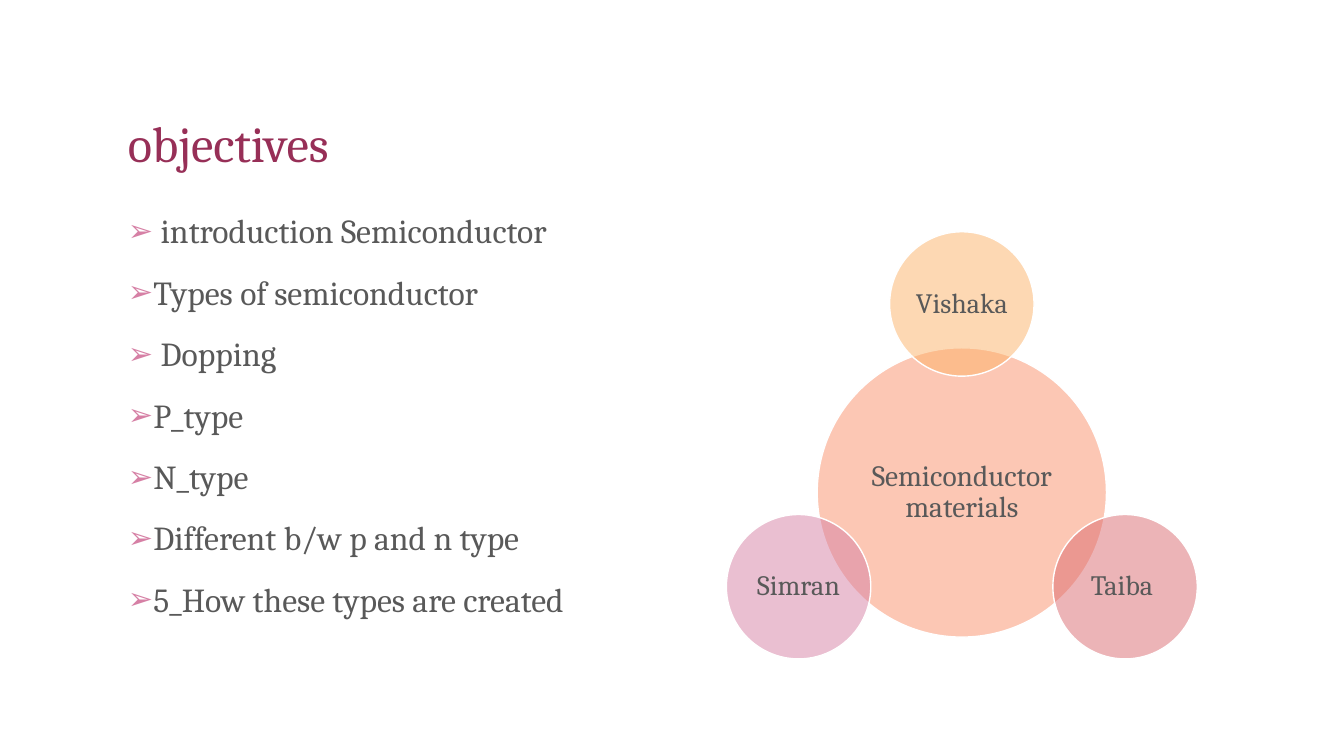
import math

from lxml import etree
from pptx import Presentation
from pptx.dml.color import RGBColor
from pptx.enum import shapes, text
from pptx.oxml import ns
from pptx.util import Cm, Pt

FONT = "Cambria"
GREY, WHITE, PLUM, PINK = "595959", "FFFFFF", "972F57", "D680A5"

HEADING = "objectives"
OBJECTIVES = [
    " introduction Semiconductor",
    "Types of semiconductor",
    " Dopping",
    "P_type",
    "N_type",
    "Different b/w p and n type",
    "5_How these types are created",
]
TOPIC = ("Semiconductor materials", "FA906A")
MEMBERS = [("Vishaka", "FCB268"), ("Taiba ", "DB6B70"), ("Simran", PINK)]

CENTER_X, CENTER_Y = 24.24, 12.41
TOPIC_SIZE, MEMBER_SIZE, ORBIT = 7.29, 3.64, 4.75


def rgb(value):
    return RGBColor.from_string(value)


def write(paragraph, words, size, color=GREY, align=text.PP_ALIGN.LEFT, before=0):
    paragraph.alignment = align
    paragraph.line_spacing = 0.9
    paragraph.space_before = Pt(before)
    run = paragraph.add_run()
    run.text = words
    run.font.name = FONT
    run.font.size = Pt(size)
    run.font.color.rgb = rgb(color)


def add_bullet(paragraph):
    props = paragraph._p.get_or_add_pPr()
    props.set("marL", str(Cm(0.64)))
    props.set("indent", str(-Cm(0.64)))
    tint = etree.SubElement(props, ns.qn("a:buClr"))
    etree.SubElement(tint, ns.qn("a:srgbClr"), val=PINK)
    etree.SubElement(props, ns.qn("a:buSzPct"), val="90000")
    etree.SubElement(props, ns.qn("a:buFont"), typeface="Arial")
    etree.SubElement(props, ns.qn("a:buChar"), char="➢")


def place(holder, left, top, width, height, anchor):
    holder.left, holder.top = Cm(left), Cm(top)
    holder.width, holder.height = Cm(width), Cm(height)
    frame = holder.text_frame
    frame.auto_size = text.MSO_AUTO_SIZE.NONE
    frame.word_wrap = True
    frame.vertical_anchor = anchor
    return frame


def add_circle(slide, x, y, diameter, label, color, size):
    circle = slide.shapes.add_shape(
        shapes.MSO_SHAPE.OVAL, Cm(x - diameter / 2), Cm(y - diameter / 2),
        Cm(diameter), Cm(diameter))
    circle.shadow.inherit = False
    circle.fill.solid()
    circle.fill.fore_color.rgb = rgb(color)
    tint = circle._element.spPr.find(ns.qn("a:solidFill"))[0]
    etree.SubElement(tint, ns.qn("a:alpha"), val="50000")
    circle.line.color.rgb = rgb(WHITE)
    circle.line.width = Pt(1)
    frame = circle.text_frame
    frame.word_wrap = True
    frame.vertical_anchor = text.MSO_ANCHOR.MIDDLE
    frame.margin_left = frame.margin_right = Cm(0.07)
    frame.margin_top = frame.margin_bottom = Cm(0.07)
    write(frame.paragraphs[0], label, size, align=text.PP_ALIGN.CENTER)


def main():
    deck = Presentation()
    deck.slide_width, deck.slide_height = Cm(33.87), Cm(19.05)
    slide = deck.slides.add_slide(deck.slide_layouts[1])

    heading = place(slide.shapes.title, 2.97, 1.19, 27.94, 3.3, text.MSO_ANCHOR.BOTTOM)
    write(heading.paragraphs[0], HEADING, 36, PLUM)

    objectives = place(slide.placeholders[1], 2.97, 5.28, 13.34, 11.86, text.MSO_ANCHOR.TOP)
    for index, objective in enumerate(OBJECTIVES):
        item = objectives.add_paragraph() if index else objectives.paragraphs[0]
        add_bullet(item)
        write(item, objective, 24, before=18 if index else 0)

    add_circle(slide, CENTER_X, CENTER_Y, TOPIC_SIZE, *TOPIC, 21)
    for index, member in enumerate(MEMBERS):
        angle = math.radians(index * 360 / len(MEMBERS) - 90)
        add_circle(slide, CENTER_X + ORBIT * math.cos(angle),
                   CENTER_Y + ORBIT * math.sin(angle), MEMBER_SIZE, *member, 20)

    deck.save("out.pptx")


if __name__ == "__main__":
    main()
